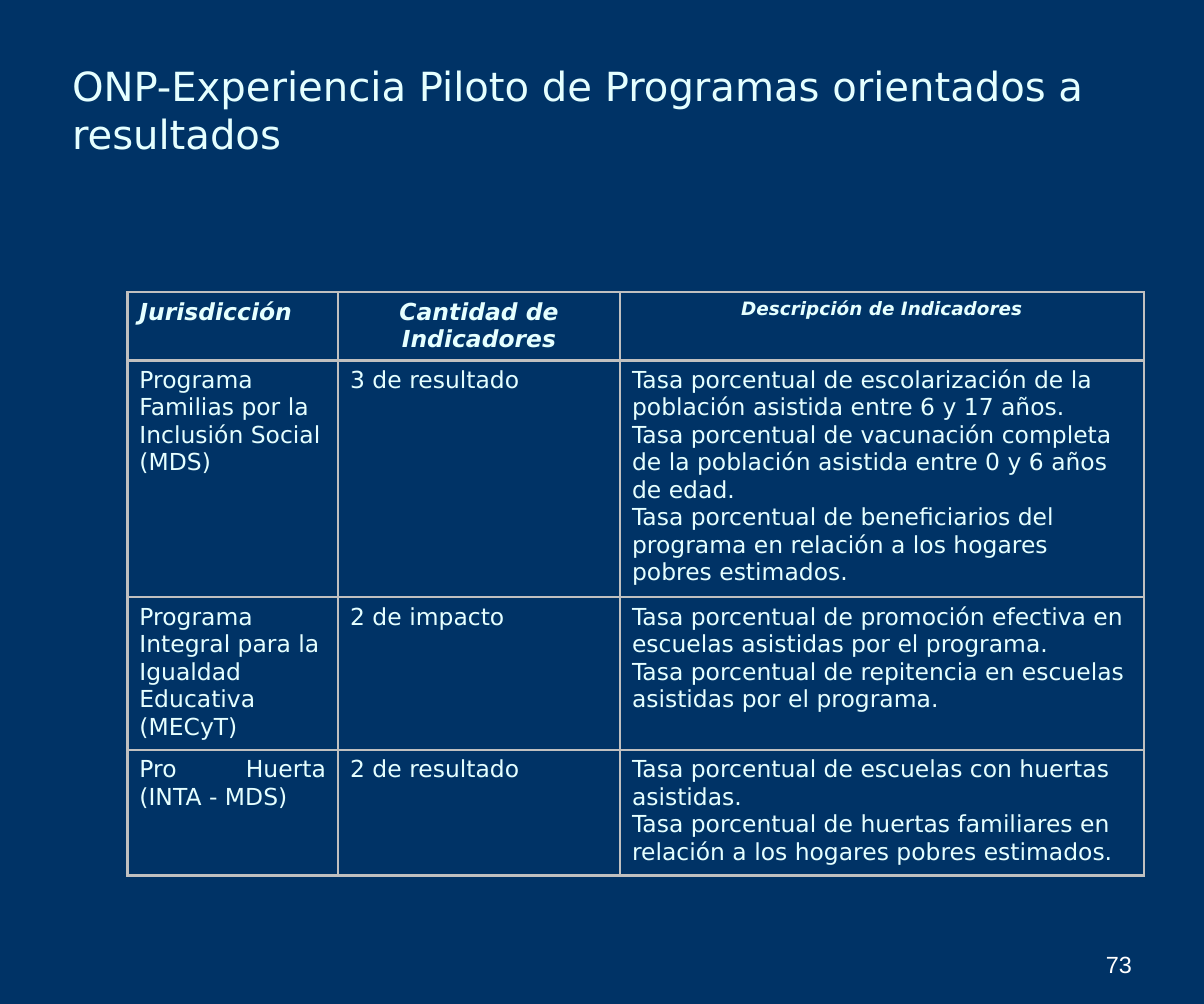
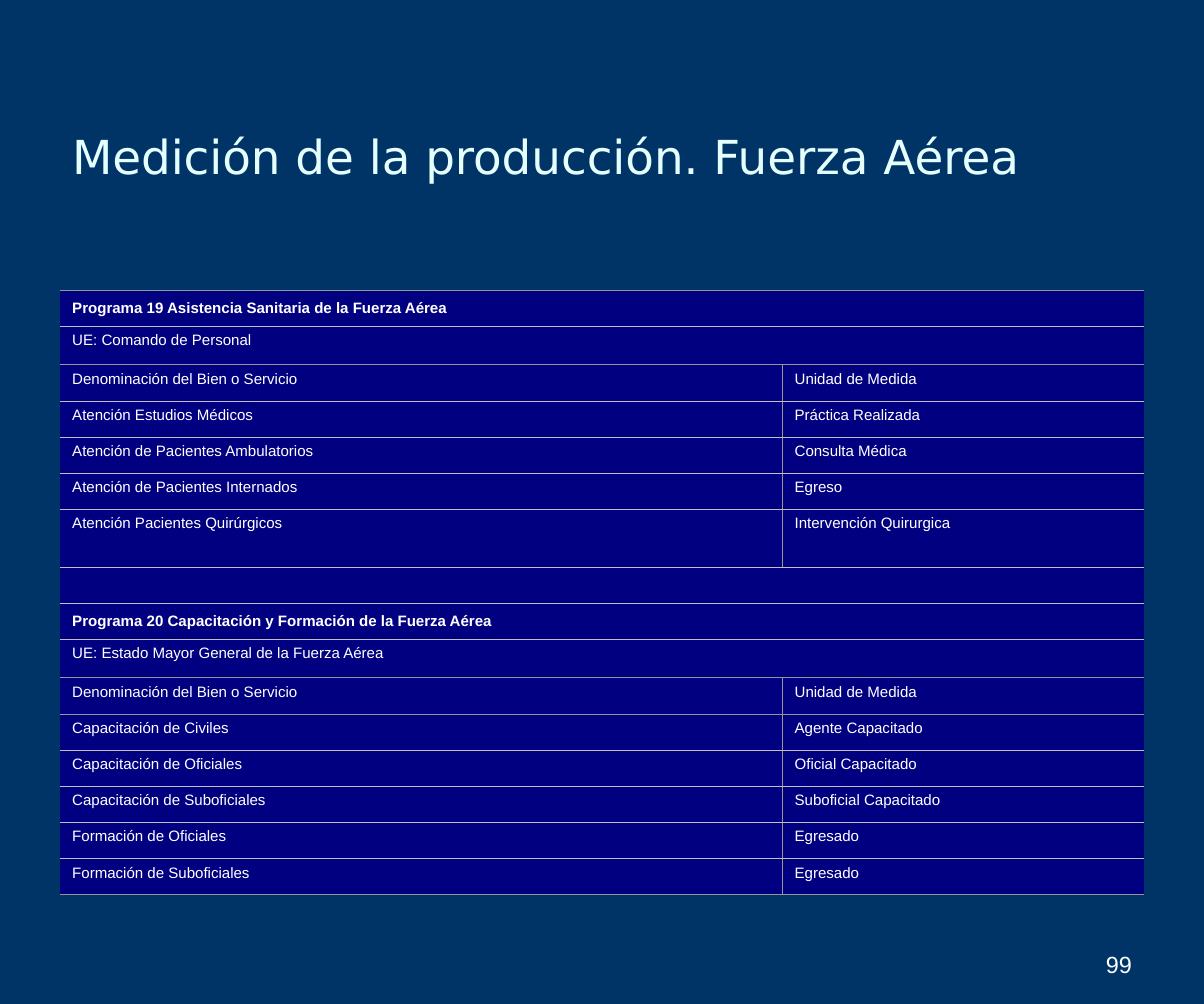
from lxml import etree
from pptx import Presentation, util as u
from pptx.dml.color import RGBColor
from pptx.enum import text
from pptx.oxml import ns

COLORS = {"back": "003366", "pale": "E5FFFF", "white": "FFFFFF",
          "navy": "000080", "silver": "C0C0C0", "gray": "969696"}
SANS, ARIAL = "DejaVu Sans", "Arial"
LEFT, CENTER = text.PP_ALIGN.LEFT, text.PP_ALIGN.CENTER
RIGHT, JUSTIFY = text.PP_ALIGN.RIGHT, text.PP_ALIGN.JUSTIFY
TOP, MIDDLE = text.MSO_ANCHOR.TOP, text.MSO_ANCHOR.MIDDLE
BOTTOM = text.MSO_ANCHOR.BOTTOM

# Grid of 120 columns by 100 rows; boxes are left, top, width, height
W, H = u.Inches(10), u.Inches(8.34)
TITLE_BOX = (6, 5.5, 108, 20)
NUMBER_BOX = (86, 91, 28, 7)

PILOT_ROWS = [
    ["Jurisdicción", "Cantidad de Indicadores", "Descripción de Indicadores"],
    ["Programa Familias por la Inclusión Social (MDS)", "3 de resultado",
     "Tasa porcentual de escolarización de la población asistida entre 6 y 17 años.\n"
     "Tasa porcentual de vacunación completa de la población asistida entre 0 y 6 años de edad.\n"
     "Tasa porcentual de beneficiarios del programa en relación a los hogares pobres estimados."],
    ["Programa Integral para la Igualdad Educativa (MECyT)", "2 de impacto",
     "Tasa porcentual de promoción efectiva en escuelas asistidas por el programa.\n"
     "Tasa porcentual de repitencia en escuelas asistidas por el programa."],
    ["Pro Huerta (INTA - MDS)", "2 de resultado",
     "Tasa porcentual de escuelas con huertas asistidas.\n"
     "Tasa porcentual de huertas familiares en relación a los hogares pobres estimados."],
]
PILOT_ALIGN = [[LEFT, CENTER, CENTER], [LEFT, JUSTIFY, LEFT],
               [LEFT, JUSTIFY, LEFT], [JUSTIFY, LEFT, LEFT]]

HEADINGS = ("Denominación del Bien o Servicio", "Unidad de Medida")
PROGRAM_ROWS = [
    ("Programa 19 Asistencia Sanitaria de la Fuerza Aérea", ""),
    ("UE: Comando de Personal", ""),
    HEADINGS,
    ("Atención Estudios Médicos", "Práctica Realizada"),
    ("Atención de Pacientes Ambulatorios", "Consulta Médica"),
    ("Atención de Pacientes Internados", "Egreso"),
    ("Atención Pacientes Quirúrgicos", "Intervención Quirurgica"),
    ("", ""),
    ("Programa 20 Capacitación y Formación de la Fuerza Aérea", ""),
    ("UE: Estado Mayor General de la Fuerza Aérea", ""),
    HEADINGS,
    ("Capacitación de Civiles", "Agente Capacitado"),
    ("Capacitación de Oficiales", "Oficial Capacitado"),
    ("Capacitación de Suboficiales", "Suboficial Capacitado"),
    ("Formación de Oficiales", "Egresado"),
    ("Formación de Suboficiales", "Egresado"),
]


def across(n):
    return round(W * n / 120)


def down(n):
    return round(H * n / 100)


def place(box):
    return across(box[0]), down(box[1]), across(box[2]), down(box[3])


def write(tf, words, size, font, color, align=LEFT, bold=False, italic=False):
    for i, line in enumerate(words.split("\n")):
        p = tf.paragraphs[0] if i == 0 else tf.add_paragraph()
        p.alignment = align
        if line:
            r = p.add_run()
            r.text = line
            r.font.size, r.font.name = u.Pt(size), font
            r.font.bold, r.font.italic = bold, italic
            r.font.color.rgb = RGBColor.from_string(COLORS[color])
        else:  # keeps empty rows low
            etree.SubElement(p._p, ns.qn("a:endParaRPr"), sz=str(size * 100))


def text_box(s, box, words, size, font, color, align, anchor):
    tf = s.shapes.add_textbox(*place(box)).text_frame
    tf.word_wrap = True
    tf.vertical_anchor = anchor
    write(tf, words, size, font, color, align)


def add_slide(prs, title, size, anchor, number):
    s = prs.slides.add_slide(prs.slide_layouts[6])
    s.background.fill.solid()
    s.background.fill.fore_color.rgb = RGBColor.from_string(COLORS["back"])
    text_box(s, TITLE_BOX, title, size, SANS, "pale", LEFT, anchor)
    text_box(s, NUMBER_BOX, number, 14, ARIAL, "white", RIGHT, BOTTOM)
    return s


def add_grid(s, left, top, columns, rows):
    box = (left, top, sum(columns), sum(rows))
    table = s.shapes.add_table(len(rows), len(columns), *place(box)).table
    table.first_row = table.horz_banding = False
    for column, width in zip(table.columns, columns):
        column.width = across(width)
    for row, height in zip(table.rows, rows):
        row.height = down(height)
    return table


def style_cell(cell, borders, width, fill=None):
    """Borders are colour names for left, right, top, bottom; None hides one."""
    tc_pr = cell._tc.get_or_add_tcPr()
    for side, color in zip("LRTB", borders):
        ln = etree.SubElement(tc_pr, ns.qn("a:ln" + side), w=str(u.Pt(width)))
        paint = etree.SubElement(ln, ns.qn("a:solidFill" if color else "a:noFill"))
        if color:
            etree.SubElement(paint, ns.qn("a:srgbClr"), val=COLORS[color])
    if fill:
        cell.fill.solid()
        cell.fill.fore_color.rgb = RGBColor.from_string(COLORS[fill])
    else:
        cell.fill.background()


def pilot_table(s, left, top):
    table = add_grid(s, left, top, [21, 28.1, 52.2], [6.8, 23.6, 15.2, 12.5])
    for i, row in enumerate(PILOT_ROWS):
        for j, words in enumerate(row):
            cell, head = table.cell(i, j), i == 0
            style_cell(cell, ["silver"] * 4, 1.47)
            write(cell.text_frame, words, 11 if head and j == 2 else 14, SANS,
                  "pale", PILOT_ALIGN[i][j], head, head)


def program_table(s, left, top):
    heights = [3.6] * len(PROGRAM_ROWS)
    heights[1] = heights[9] = 3.84
    heights[6] = 5.76
    table = add_grid(s, left, top, [72, 36], heights)
    gray_rules = {0, 2, 10, 11, len(PROGRAM_ROWS)}
    rules = ["gray" if i in gray_rules else "silver"
             for i in range(len(PROGRAM_ROWS) + 1)]
    for i, row in enumerate(PROGRAM_ROWS):
        divider = "gray" if row[1] else None
        program = row[0].startswith("Programa")
        for j, words in enumerate(row):
            cell = table.cell(i, j)
            sides = [divider, None] if j else [None, divider]
            style_cell(cell, sides + rules[i:i + 2], 0.45, "navy")
            write(cell.text_frame, words, 9, ARIAL, "white", bold=program)
        if program:
            table.cell(i, 0).merge(table.cell(i, 1))
            table.cell(i, 0).vertical_anchor = MIDDLE


def main():
    prs = Presentation()
    prs.slide_width, prs.slide_height = W, H

    # Pilot programmes and their indicators
    s = add_slide(prs, "ONP-Experiencia Piloto de Programas orientados a resultados",
                  24, TOP, "73")
    pilot_table(s, 12.7, 29.1)

    # Goods and services by programme
    s = add_slide(prs, "Medición de la producción. Fuerza Aérea", 28, MIDDLE, "99")
    program_table(s, 6, 28.9)

    prs.save("out.pptx")


if __name__ == "__main__":
    main()
